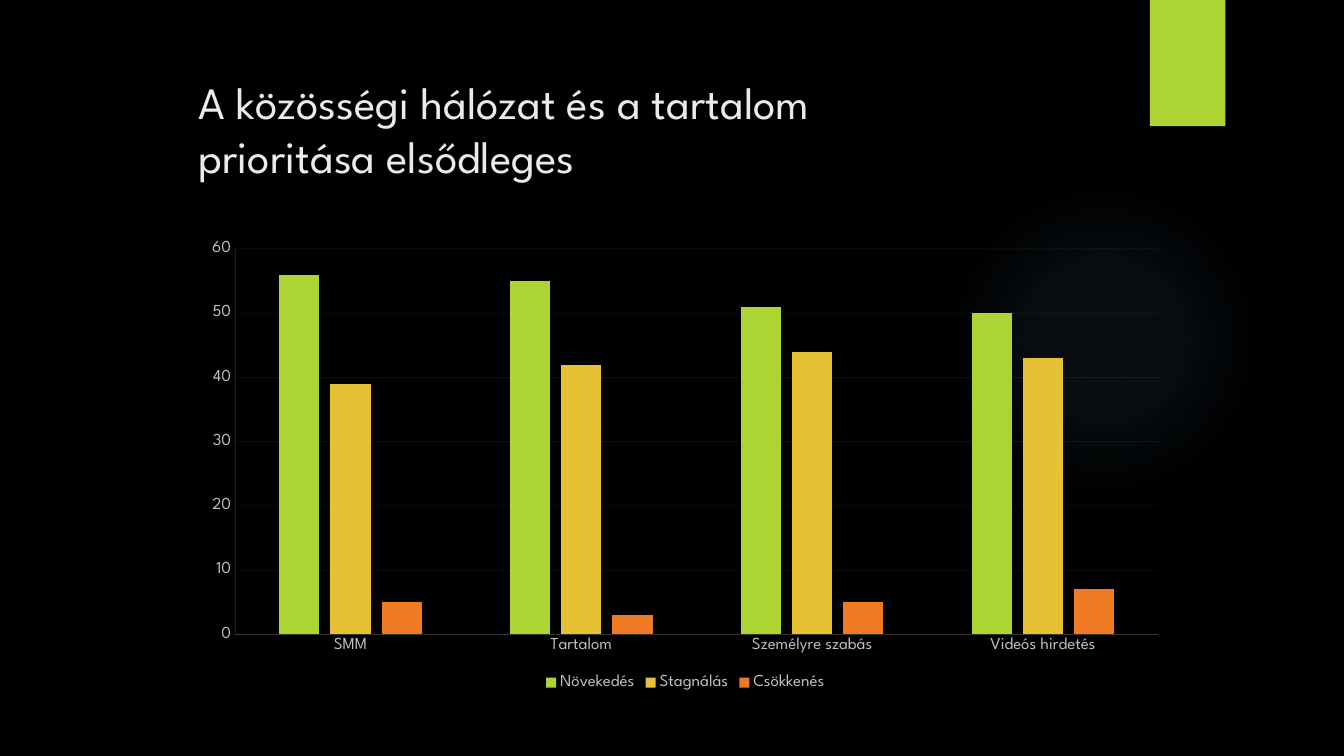
from lxml import etree
from pptx import Presentation
from pptx.chart import data as cd
from pptx.dml.color import RGBColor
from pptx.enum import chart as ce, shapes, text
from pptx.oxml import parse_xml
from pptx.oxml import ns
from pptx.util import Cm, Pt


def hue(code):
    return RGBColor.from_string(code)


def put(obj, **vals):
    for key, val in vals.items():
        setattr(obj, key, val)


class Deck:
    face = "League Spartan"
    pale, grey, rule = "EBEBEB", "BFBFBF", "EEF6D6"

    def __init__(self, wide, high):
        self.prs = Presentation()
        put(self.prs, slide_width=Cm(wide), slide_height=Cm(high))

    def page(self, back):
        self.slide = self.prs.slides.add_slide(self.prs.slide_layouts[5])
        fill = self.slide.background.fill
        fill.solid()
        fill.fore_color.rgb = hue(back)

    def font(self, font, size, code):
        put(font, name=self.face, size=Pt(size), bold=False)
        font.color.rgb = hue(code)

    def title(self, words, x, y, w, h):
        box = self.slide.shapes.title
        put(box, left=Cm(x), top=Cm(y), width=Cm(w), height=Cm(h))
        frame = box.text_frame
        frame.text = words
        put(frame, word_wrap=True, auto_size=text.MSO_AUTO_SIZE.NONE,
            vertical_anchor=text.MSO_ANCHOR.TOP)
        para = frame.paragraphs[0]
        para.alignment = text.PP_ALIGN.LEFT
        for run in para.runs:
            self.font(run.font, 32, self.pale)

    def shape(self, kind, code, x, y, w, h):
        form = self.slide.shapes.add_shape(kind, Cm(x), Cm(y), Cm(w), Cm(h))
        form.shadow.inherit = False
        form.fill.solid()
        form.fill.fore_color.rgb = hue(code)
        form.line.fill.background()
        return form

    def glow(self, code, stops, *area):
        form = self.shape(shapes.MSO_SHAPE.OVAL, code, *area)
        marks = "".join(
            f'<a:gs pos="{pos * 1000}"><a:srgbClr val="{code}">'
            f'<a:alpha val="{part * 1000}"/></a:srgbClr></a:gs>'
            for pos, part in stops)
        grad = parse_xml(
            f'<a:gradFill {ns.nsdecls("a")}><a:gsLst>{marks}</a:gsLst>'
            '<a:path path="circle"><a:fillToRect l="50000" t="50000" '
            'r="50000" b="50000"/></a:path></a:gradFill>')
        solid = form.element.spPr.find(ns.qn("a:solidFill"))
        solid.getparent().replace(solid, grad)

    def stroke(self, line, root, route, part):
        line.width = Pt(0.25)
        line.color.rgb = hue(self.rule)
        for tone in root.xpath(f".//{route}/c:spPr/a:ln//a:srgbClr"):
            etree.SubElement(tone, ns.qn("a:alpha"), val=str(part * 1000))

    def columns(self, cats, rows, x, y, w, h):
        data = cd.CategoryChartData()
        data.categories = cats
        for name, vals, _ in rows:
            data.add_series(name, vals)
        chart = self.slide.shapes.add_chart(
            ce.XL_CHART_TYPE.COLUMN_CLUSTERED,
            Cm(x), Cm(y), Cm(w), Cm(h), data).chart
        put(chart, has_title=False, has_legend=True)
        self.font(chart.font, 10, "FFFFFF")
        put(chart.legend, position=ce.XL_LEGEND_POSITION.BOTTOM,
            include_in_layout=False)
        self.font(chart.legend.font, 12, self.grey)

        # Columns
        plot = chart.plots[0]
        put(plot, gap_width=219, overlap=-27, vary_by_categories=False)
        for item, (_, _, code) in zip(plot.series, rows):
            item.format.fill.solid()
            item.format.fill.fore_color.rgb = hue(code)

        # Axes and grid
        root, side = chart.element, chart.value_axis
        put(side, minimum_scale=0, maximum_scale=60, major_unit=10,
            has_major_gridlines=True)
        for axis, tag, part in ((chart.category_axis, "c:catAx", 25),
                                (side, "c:valAx", 30)):
            put(axis, major_tick_mark=ce.XL_TICK_MARK.NONE,
                minor_tick_mark=ce.XL_TICK_MARK.NONE)
            self.font(axis.tick_labels.font, 12, self.grey)
            self.stroke(axis.format.line, root, tag, part)
        self.stroke(side.major_gridlines.format.line, root,
                    "c:majorGridlines", 10)


def main():
    deck = Deck(33.87, 19.05)
    deck.page("000000")

    # Backdrop
    deck.glow("7AC4F0", [(0, 7), (36, 6), (69, 0)], 23.9, 4.65, 7.82, 7.82)
    deck.shape(shapes.MSO_SHAPE.RECTANGLE, "ACD433", 28.98, 0, 1.9, 3.18)

    # Heading
    deck.title("A közösségi hálózat és a tartalom\vprioritása elsődleges",
               4.75, 1.75, 26.14, 3.89)

    # Priorities chart
    deck.columns(
        ["SMM", "Tartalom", "Személyre szabás", "Videós hirdetés"],
        [("Növekedés", (56, 55, 51, 50), "ACD433"),
         ("Stagnálás", (39, 42, 44, 43), "E6C133"),
         ("Csökkenés", (5, 3, 5, 7), "EF7A24")],
        4.85, 5.84, 24.84, 11.66)
    deck.prs.save("out.pptx")


if __name__ == "__main__":
    main()
